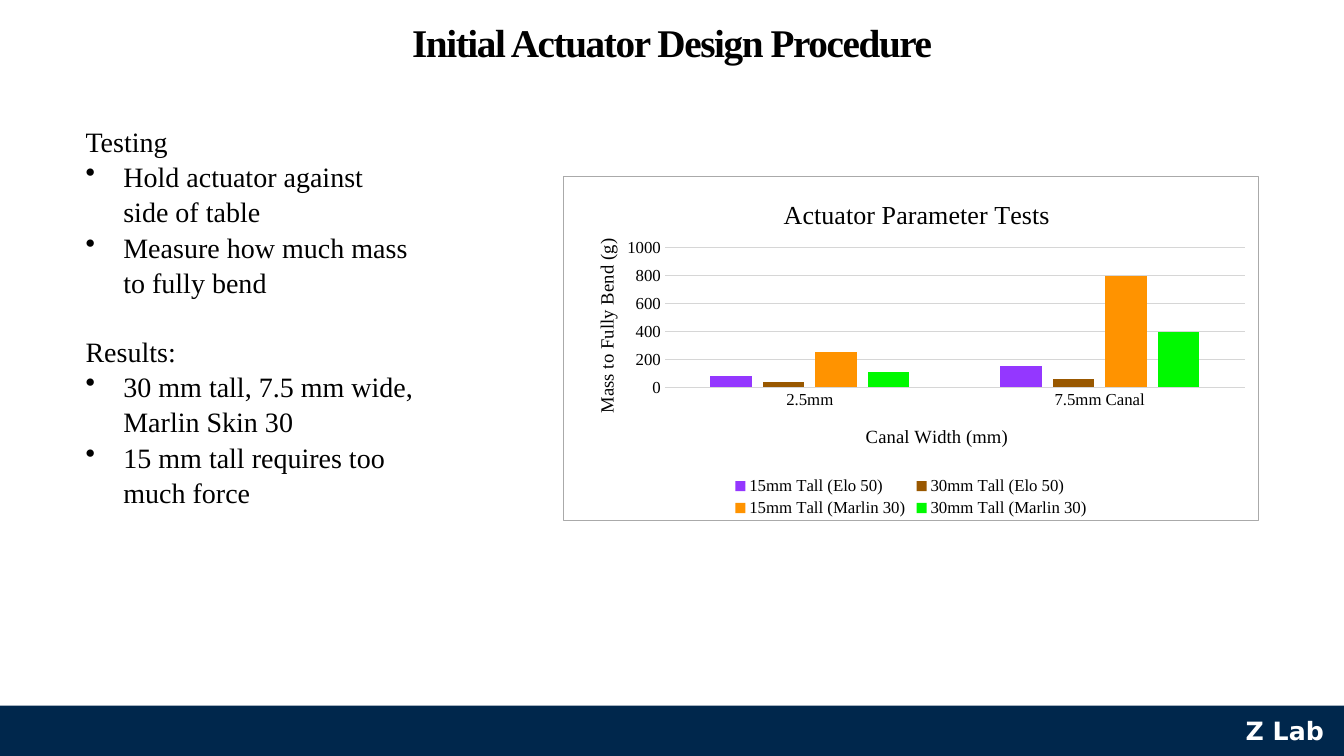
"""Build the actuator design slide with its test notes and column chart."""
from lxml import etree
from pptx import Presentation
from pptx.chart.data import CategoryChartData
from pptx.dml.color import RGBColor
from pptx.enum import chart as ch, shapes, text
from pptx.oxml import parse_xml
from pptx.oxml.ns import nsdecls, qn
from pptx.util import Pt

TITLE = "Initial Actuator Design Procedure"
LAB = "Z Lab"
NOTES = [
    ("Testing", ["Hold actuator against\vside of table",
                 "Measure how much mass\vto fully bend"]),
    ("Results:", ["30 mm tall, 7.5 mm wide,\vMarlin Skin 30",
                  "15 mm tall requires too\vmuch force"]),
]
CHART = "Actuator Parameter Tests"
WIDTH = "Canal Width (mm)"
MASS = "Mass to Fully Bend (g)"
CATS = ["2.5mm", "7.5mm Canal"]
TESTS = [
    ("15mm Tall (Elo 50)", (80, 150), "9437FF"),
    ("30mm Tall (Elo 50)", (40, 60), "995800"),
    ("15mm Tall (Marlin 30)", (250, 800), "FF9300"),
    ("30mm Tall (Marlin 30)", (110, 400), "00F900"),
]
THEME = {
    "ink": "000000", "navy": "00274C", "white": "FFFFFF",
    "grid": "D6D6D6", "edge": "AAAAAA",
    "serif": "Times New Roman", "sans": "DejaVu Sans",
    "title": 28, "body": 20, "lab": 18, "chart": 18.6, "axis": 13.3, "tick": 12,
}
PAGE = (960, 540)
BAR = 36
LEFT = 54
INDENT = 27
ALIGN = text.PP_ALIGN


def color(name):
    """Return a theme or hex colour."""
    return RGBColor.from_string(THEME.get(name, name))


def style(font, size, ink="ink", face="serif", bold=False):
    """Format a font from the theme."""
    font.size, font.name, font.bold = Pt(THEME[size]), THEME[face], bold
    font.color.rgb = color(ink)


def write(para, words, size="body", align=None, bullet=False, space=0,
          lead=None, track=None, **look):
    """Put formatted text in a paragraph."""
    para.text = words
    if align is not None:
        para.alignment = align
    if lead:
        para.line_spacing = lead
    if space:
        para.space_before = Pt(space)
    if bullet:
        prop = para._p.get_or_add_pPr()
        prop.set("marL", str(Pt(INDENT)))
        prop.set("indent", str(-Pt(INDENT)))
        etree.SubElement(prop, qn("a:buChar")).set("char", "•")
    for run in para.runs:
        style(run.font, size, **look)
        if track:
            run._r.get_or_add_rPr().set("spc", str(track))


def layout(x, y, w=None, h=None):
    """Return a manual chart layout in fractions."""
    parts = [("xMode", "edge"), ("yMode", "edge"), ("x", x), ("y", y)]
    if w:
        parts.insert(0, ("layoutTarget", "inner"))
        parts += [("w", w), ("h", h)]
    body = "".join(f'<c:{k} val="{v}"/>' for k, v in parts)
    return parse_xml(f'<c:layout {nsdecls("c")}><c:manualLayout>{body}'
                     '</c:manualLayout></c:layout>')


def drop(node):
    """Remove any layout a chart part has."""
    for old in node.findall(qn("c:layout")):
        node.remove(old)


def head(owner, words, size, x, y):
    """Write and place a chart or axis title."""
    owner.has_title = True
    title = owner.chart_title if hasattr(owner, "chart_title") else owner.axis_title
    write(title.text_frame.paragraphs[0], words, size)
    node = title._element
    drop(node)
    node.find(qn("c:tx")).addnext(layout(x, y))


def rule(line, name):
    """Draw a thin chart line."""
    line.color.rgb, line.width = color(name), Pt(0.75)


def plot(slide):
    """Add the column chart."""
    data = CategoryChartData()
    data.categories = CATS
    for name, vals, _ in TESTS:
        data.add_series(name, vals)
    chart = slide.shapes.add_chart(ch.XL_CHART_TYPE.COLUMN_CLUSTERED, Pt(402),
                                   Pt(126), Pt(497.5), Pt(246.5), data).chart
    style(chart.font, "tick")
    bars = chart.plots[0]
    bars.gap_width, bars.overlap, bars.vary_by_categories = 219, -27, False
    for bar, (_, _, hue) in zip(bars.series, TESTS):
        bar.format.fill.solid()
        bar.format.fill.fore_color.rgb = color(hue)
    cat, val = chart.category_axis, chart.value_axis
    for axis in (cat, val):
        axis.major_tick_mark = axis.minor_tick_mark = ch.XL_TICK_MARK.NONE
        style(axis.tick_labels.font, "tick")
    rule(cat.format.line, "grid")
    val.format.line.fill.background()
    val.minimum_scale, val.maximum_scale, val.major_unit = 0, 1000, 200
    rule(val.major_gridlines.format.line, "grid")
    head(chart, CHART, "chart", 0.31, 0.05)
    head(cat, WIDTH, "axis", 0.43, 0.71)
    head(val, MASS, "axis", 0.04, 0.17)
    chart.has_legend = True
    chart.legend.position = ch.XL_LEGEND_POSITION.BOTTOM
    chart.legend.include_in_layout = False
    style(chart.legend.font, "tick")
    root = chart._chartSpace
    area = root.find(qn("c:chart")).find(qn("c:plotArea"))
    drop(area)
    area.insert(0, layout(0.146, 0.206, 0.834, 0.406))
    root.find(qn("c:chart")).addnext(parse_xml(
        f'<c:spPr {nsdecls("c", "a")}><a:noFill/><a:ln w="{Pt(0.75)}"><a:solidFill>'
        f'<a:srgbClr val="{THEME["edge"]}"/></a:solidFill></a:ln></c:spPr>'))


def main():
    """Compose and save the slide."""
    deck = Presentation()
    deck.slide_width, deck.slide_height = map(Pt, PAGE)
    slide = deck.slides.add_slide(deck.slide_layouts[5])
    wide, high = PAGE

    bar = slide.shapes.add_shape(shapes.MSO_SHAPE.RECTANGLE, 0, Pt(high - BAR),
                                 Pt(wide), Pt(BAR))
    bar.shadow.inherit = False
    bar.fill.solid()
    bar.fill.fore_color.rgb = color("navy")
    bar.line.fill.background()
    frame = bar.text_frame
    frame.margin_left = frame.margin_right = Pt(14.4)
    frame.vertical_anchor = text.MSO_ANCHOR.MIDDLE
    write(frame.paragraphs[0], LAB, "lab", ALIGN.RIGHT,
          ink="white", face="sans", bold=True)

    title = slide.shapes.title
    title.left, title.top, title.width, title.height = map(Pt, (0, 1, wide, 57.5))
    title.text_frame.vertical_anchor = text.MSO_ANCHOR.MIDDLE
    write(title.text_frame.paragraphs[0], TITLE, "title", ALIGN.CENTER,
          track=-100, bold=True)

    box = slide.shapes.add_textbox(Pt(LEFT), Pt(84), Pt(846), Pt(273.5))
    frame = box.text_frame
    frame.word_wrap = True
    for i, (topic, points) in enumerate(NOTES):
        para = frame.add_paragraph() if i else frame.paragraphs[0]
        write(para, topic, lead=1.05, space=24 * i)
        for point in points:
            write(frame.add_paragraph(), point, bullet=True, lead=1.05)

    plot(slide)
    deck.save("out.pptx")


if __name__ == "__main__":
    main()
